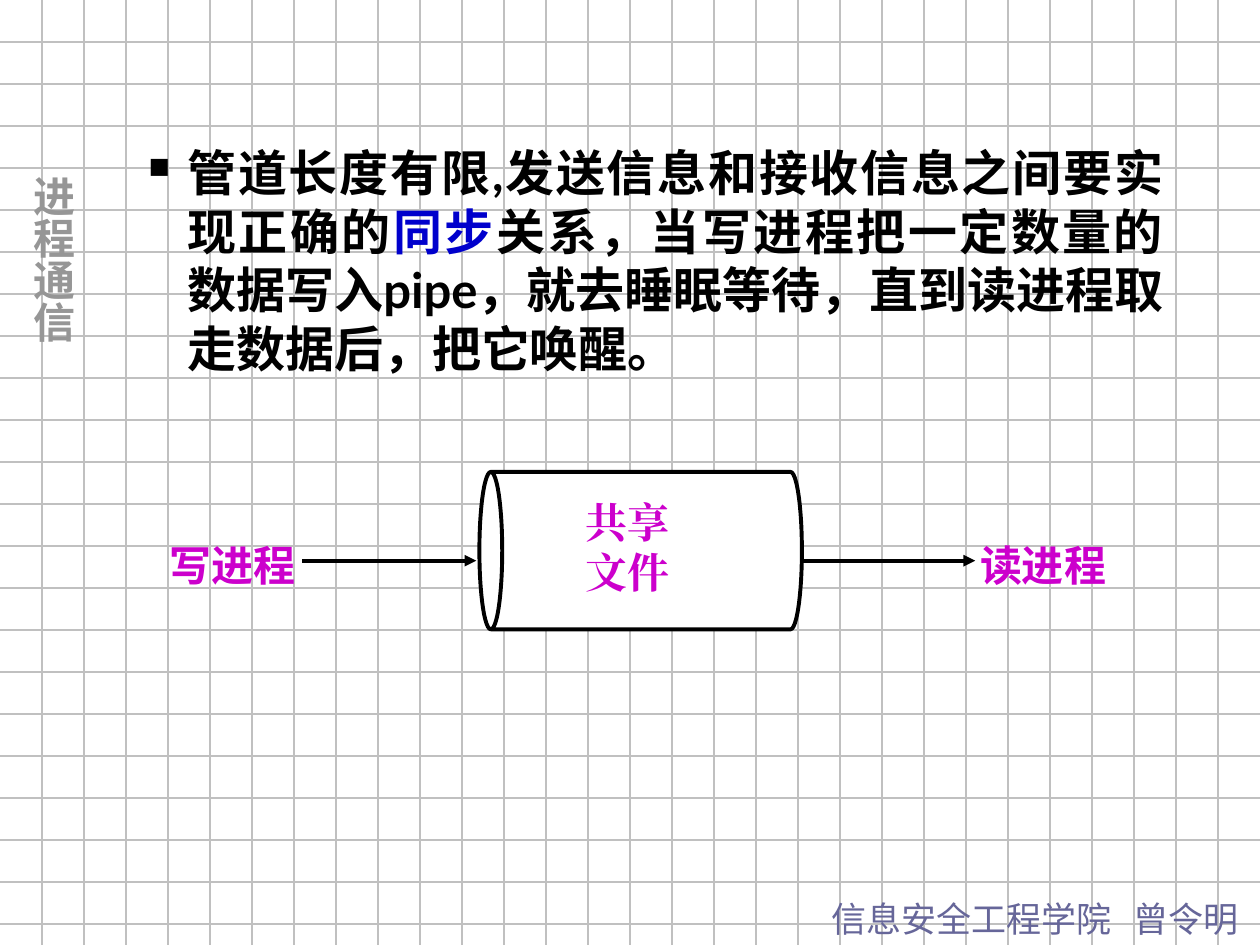
import dataclasses

import lxml.etree
import pptx
import pptx.dml.color
import pptx.enum.shapes
import pptx.enum.text
import pptx.oxml.ns
import pptx.util

Inches = pptx.util.Inches
Pt = pptx.util.Pt
MSO_SHAPE = pptx.enum.shapes.MSO_SHAPE
ALIGN = pptx.enum.text.PP_ALIGN
qn = pptx.oxml.ns.qn


@dataclasses.dataclass(frozen=True)
class Theme:
    white: str = "FFFFFF"
    grid: str = "C0C0C0"
    ink: str = "000000"
    key: str = "0000CC"
    label: str = "CC00CC"
    side: str = "969696"
    footer: str = "666699"
    body_font: str = "Lato"
    label_font: str = "Noto Sans CJK SC"
    side_font: str = "Noto Sans CJK JP"
    file_font: str = "Times New Roman"
    body_size: int = 28
    label_size: int = 24
    footer_size: int = 20
    hairline: float = 0.75
    stroke: float = 2.25


class Deck:
    """Builds slide elements in one theme."""

    def __init__(self, theme):
        self.theme = theme
        self.prs = pptx.Presentation()
        self.prs.slide_width, self.prs.slide_height = Inches(10), Inches(7.5)
        self.s = self.prs.slides.add_slide(self.prs.slide_layouts[5])

    def color(self, value):
        return pptx.dml.color.RGBColor.from_string(value)

    def child(self, parent, tag, **attrs):
        return lxml.etree.SubElement(parent, qn(tag), attrs)

    def run(self, p, text, font, size, color, bold=True):
        r = p.add_run()
        r.text = text
        formats = {"name": font, "size": Pt(size), "bold": bold}
        for name, value in formats.items():
            setattr(r.font, name, value)
        r.font.color.rgb = self.color(color)
        self.child(r._r.get_or_add_rPr(), "a:ea", typeface=font)

    def frame(self, sp, margins=(0.1, 0.05)):
        tf = sp.text_frame
        x, y = map(Inches, margins)
        formats = {
            "word_wrap": True,
            "auto_size": pptx.enum.text.MSO_AUTO_SIZE.NONE,
            "vertical_anchor": pptx.enum.text.MSO_ANCHOR.TOP,
            "margin_left": x,
            "margin_right": x,
            "margin_top": y,
            "margin_bottom": y,
        }
        for name, value in formats.items():
            setattr(tf, name, value)
        return tf

    def text(self, box, content, font, size, color, bold=True):
        sp = self.s.shapes.add_textbox(*map(Inches, box))
        p = self.frame(sp).paragraphs[0]
        self.run(p, content, font, size, color, bold)
        return p

    def tab(self, p, position):
        stops = self.child(p._p.get_or_add_pPr(), "a:tabLst")
        self.child(stops, "a:tab", pos=str(Inches(position)), algn="l")

    def bullet(self, box, runs):
        t = self.theme
        sp = self.s.shapes.add_textbox(*map(Inches, box))
        p = self.frame(sp).paragraphs[0]
        p.alignment = ALIGN.JUSTIFY
        ppr = p._p.get_or_add_pPr()
        ppr.set("marL", str(Inches(0.81)))
        ppr.set("indent", str(Inches(-0.31)))
        self.child(self.child(ppr, "a:buClr"), "a:srgbClr", val=t.ink)
        self.child(ppr, "a:buSzPct", val="60000")
        self.child(ppr, "a:buChar", char="■")
        for content, color in runs:
            self.run(p, content, t.body_font, t.body_size, color)

    def line(self, start, end, color, width, arrow=False):
        kind = pptx.enum.shapes.MSO_CONNECTOR.STRAIGHT
        c = self.s.shapes.add_connector(kind, *map(Inches, start + end))
        c.line.color.rgb = self.color(color)
        c.line.width = Pt(width)
        if arrow:
            ln = c.element.spPr.find(qn("a:ln"))
            self.child(ln, "a:tailEnd", type="triangle")
        self.child(c.element.spPr, "a:effectLst")

    def grid(self, step):
        t = self.theme
        for i in range(1, 23):
            self.line((0, i * step), (10, i * step), t.grid, t.hairline)
        for i in range(1, 30):
            self.line((i * step, 0), (i * step, 7.5), t.grid, t.hairline)

    def shape(self, kind, box, outline=None):
        sp = self.s.shapes.add_shape(kind, *map(Inches, box))
        sp.shadow.inherit = False
        sp.fill.solid()
        sp.fill.fore_color.rgb = self.color(self.theme.white)
        if outline:
            sp.line.color.rgb = self.color(outline)
            sp.line.width = Pt(self.theme.stroke)
        else:
            sp.line.fill.background()
        return sp

    def pipe(self, box):
        sp = self.shape(MSO_SHAPE.CAN, box, self.theme.ink)
        sp.rotation = 270
        sp.adjustments[0] = 0.145

    def caption(self, box, lines):
        t = self.theme
        tf = self.frame(self.shape(MSO_SHAPE.RECTANGLE, box))
        for i, content in enumerate(lines):
            p = tf.add_paragraph() if i else tf.paragraphs[0]
            p.alignment = ALIGN.JUSTIFY
            self.run(p, content, t.file_font, t.label_size, t.label)

    def title(self, box, content):
        t = self.theme
        sp = self.s.shapes.title
        sp.left, sp.top, sp.width, sp.height = map(Inches, box)
        tf = self.frame(sp, (0.05, 0.1))
        sp.element.txBody.bodyPr.set("vert", "eaVert")
        p = tf.paragraphs[0]
        p.alignment = ALIGN.CENTER
        self.run(p, content, t.side_font, t.label_size, t.side)
        self.s.shapes.element.append(sp.element)


def main():
    t = Theme()
    deck = Deck(t)
    deck.grid(1 / 3)
    p = deck.text((6.5, 7.07, 3.5, 0.44), "信息安全工程学院\t曾令明",
                  t.side_font, t.footer_size, t.footer, bold=False)
    deck.tab(p, 2.4)
    deck.bullet((0.58, 1.08, 8.75, 5.67), [
        ("管道长度有限,发送信息和接收信息之间要实现正确的", t.ink),
        ("同步", t.key),
        ("关系，当写进程把一定数量的数据写入pipe，就去睡眠等待，"
         "直到读进程取走数据后，把它唤醒。", t.ink),
    ])
    deck.pipe((4.46, 3.09, 1.25, 2.56))
    deck.caption((4.55, 3.89, 1.35, 1.08), ["共享", "文件"])
    for x, content in ((1.25, "写进程"), (7.68, "读进程")):
        deck.text((x, 4.23, 1.24, 0.5), content,
                  t.label_font, t.label_size, t.label)
    for x in (2.4, 6.36):
        deck.line((x, 4.45), (x + 1.38, 4.45), t.ink, t.stroke, arrow=True)
    deck.title((0.07, 1.29, 0.6, 4.58), "进程通信")
    deck.prs.save("out.pptx")


if __name__ == "__main__":
    main()
